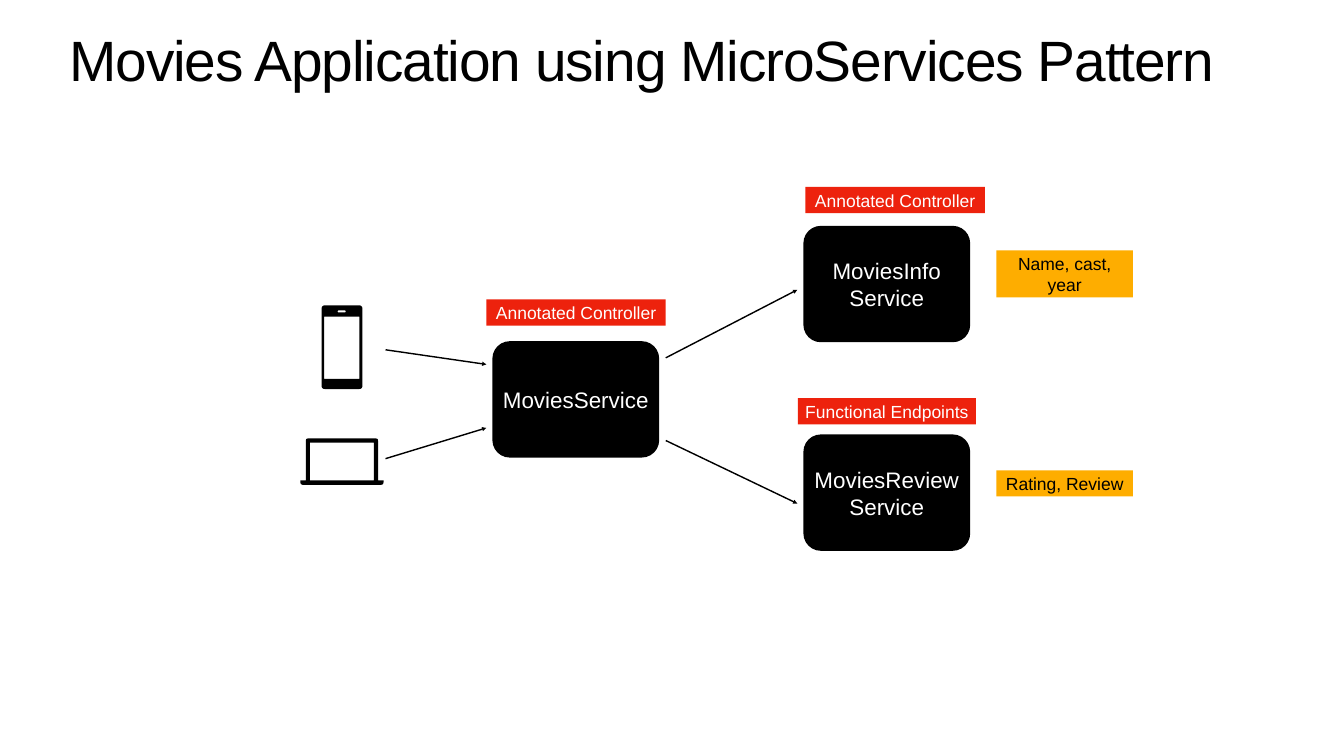
from dataclasses import dataclass

from lxml import etree
from pptx import Presentation
from pptx.dml.color import RGBColor
from pptx.enum import shapes, text
from pptx.oxml import ns
from pptx.util import Pt

BLACK, WHITE, RED, AMBER = "000000", "FFFFFF", "ED220D", "FEAD00"
INSET = 4
SERVICE_WIDTH, SERVICE_HEIGHT = 238.3, 166.3
LABEL_HEIGHT = 37.4
DATA_LEFT, DATA_WIDTH = 1423.4, 195.1
CURVE_STEPS = 6

Corner = tuple[float, float, float]  # x, y, rounding radius


@dataclass
class Block:
    left: float
    top: float
    width: float
    height: float
    paragraphs: list[str]
    fill: str
    color: str
    size: float
    preset: int = shapes.MSO_SHAPE.RECTANGLE
    wrap: bool = True
    grow: bool = True


def service(left: float, top: float, *paragraphs: str) -> Block:
    return Block(left, top, SERVICE_WIDTH, SERVICE_HEIGHT, list(paragraphs), BLACK, WHITE, 32,
                 shapes.MSO_SHAPE.ROUNDED_RECTANGLE, grow=False)


def style_label(left: float, top: float, width: float, caption: str) -> Block:
    return Block(left, top, width, LABEL_HEIGHT, [caption], RED, WHITE, 25, wrap=False)


def data_label(top: float, height: float, *paragraphs: str) -> Block:
    return Block(DATA_LEFT, top, DATA_WIDTH, height, list(paragraphs), AMBER, BLACK, 25)


SERVICES = [
    service(703.4, 487.4, "MoviesService"),
    service(1147.7, 322.6, "MoviesInfo Service"),
    service(1147.7, 620.6, "MoviesReview", "Service"),
]
LABELS = [
    style_label(1150.6, 267.1, 256.3, "Annotated Controller"),
    style_label(694.8, 427.7, 256.3, "Annotated Controller"),
    style_label(1139.8, 568.8, 254.2, "Functional Endpoints"),
    data_label(357.8, 67, "Name, cast,", "year"),
    data_label(671.8, LABEL_HEIGHT, "Rating, Review"),
]
ARROWS = [
    (951.1, 511.2, 1139, 414),
    (951.1, 629.3, 1139, 719.3),
    (550.8, 499.7, 694.8, 520.6),
    (550.8, 655.2, 694.8, 611.3),
]


def rgb(value: str) -> RGBColor:
    return RGBColor.from_string(value)


def apply(target, **values) -> None:
    for name, value in values.items():
        setattr(target, name, value)


def format_frame(frame, wrap: bool, anchor) -> None:
    margins = {f"margin_{side}": Pt(INSET) for side in ("left", "top", "right", "bottom")}
    apply(frame, word_wrap=wrap, vertical_anchor=anchor, **margins)


def write_line(paragraph, words: str, size: float, color: str):
    run = paragraph.add_run()
    run.text = words
    apply(run.font, name="Arial", size=Pt(size))
    run.font.color.rgb = rgb(color)
    return run


def paint(shape, color: str) -> None:
    shape.shadow.inherit = False
    shape.fill.solid()
    shape.fill.fore_color.rgb = rgb(color)
    shape.line.fill.background()


def add_title(slide, words: str) -> None:
    title = slide.shapes.add_textbox(Pt(95), Pt(50.4), Pt(1730), Pt(113))
    format_frame(title.text_frame, True, text.MSO_ANCHOR.TOP)
    paragraph = title.text_frame.paragraphs[0]
    paragraph.line_spacing = 0.8
    run = write_line(paragraph, words, 81.2, BLACK)
    run.font._element.set("spc", "-160")


def add_block(slide, block: Block) -> None:
    shape = slide.shapes.add_shape(block.preset, Pt(block.left), Pt(block.top),
                                   Pt(block.width), Pt(block.height))
    if block.preset == shapes.MSO_SHAPE.ROUNDED_RECTANGLE:
        shape.adjustments[0] = 0.15
    paint(shape, block.fill)
    frame = shape.text_frame
    format_frame(frame, block.wrap, text.MSO_ANCHOR.MIDDLE)
    if block.grow:
        frame.auto_size = text.MSO_AUTO_SIZE.SHAPE_TO_FIT_TEXT
    for index, words in enumerate(block.paragraphs):
        paragraph = frame.add_paragraph() if index else frame.paragraphs[0]
        paragraph.alignment = text.PP_ALIGN.CENTER
        write_line(paragraph, words, block.size, block.color)


def add_arrow(slide, *ends: float) -> None:
    arrow = slide.shapes.add_connector(shapes.MSO_CONNECTOR.STRAIGHT, *map(Pt, ends))
    arrow.line.width = Pt(2)
    arrow.line.color.rgb = rgb(BLACK)
    etree.SubElement(arrow.line._get_or_add_ln(), ns.qn("a:tailEnd"), type="triangle")
    etree.SubElement(arrow._element.spPr, ns.qn("a:effectLst"))


def box(left: float, top: float, right: float, bottom: float, radius: float = 0) -> list[Corner]:
    return [(left, top, radius), (right, top, radius),
            (right, bottom, radius), (left, bottom, radius)]


def rounded_outline(corners: list[Corner]) -> list[tuple[int, int]]:
    """Replace each rounded corner by points on a quadratic curve."""
    points = []
    for index, (x, y, radius) in enumerate(corners):
        if not radius:
            points.append((Pt(x), Pt(y)))
            continue
        edges = []
        for nx, ny, _ in (corners[index - 1], corners[(index + 1) % len(corners)]):
            share = radius / (abs(nx - x) + abs(ny - y))
            edges.append(((nx - x) * share, (ny - y) * share))
        (ax, ay), (bx, by) = edges
        for step in range(CURVE_STEPS + 1):
            t = step / CURVE_STEPS
            start, end = (1 - t) ** 2, t ** 2
            points.append((Pt(x + ax * start + bx * end), Pt(y + ay * start + by * end)))
    return points


def add_icon(slide, *contours: list[Corner]) -> None:
    """Draw the first contour with the others cut out of it."""
    outlines = [rounded_outline(contour) for contour in contours]
    builder = slide.shapes.build_freeform(*outlines[0][0])
    for index, outline in enumerate(outlines):
        if index:
            builder.move_to(*outline[0])
        builder.add_line_segments(outline[1:], close=True)
    paint(builder.convert_to_shape(), BLACK)


def add_phone(slide) -> None:
    body = box(459.4, 436.3, 517.7, 555.8, 5)
    speaker = box(482.4, 443.5, 493.9, 446.4, 1.4)
    screen = box(463, 452.2, 513.4, 541.4)
    add_icon(slide, body, speaker, screen)


def add_laptop(slide) -> None:
    body = [(437, 626.4, 3), (540, 626.4, 3), (540, 686.2, 0), (547.9, 686.2, 0),
            (547.9, 692.6, 4), (429.1, 692.6, 4), (429.1, 686.2, 0), (437, 686.2, 0)]
    screen = box(442.8, 632.2, 534.2, 686.2)
    add_icon(slide, body, screen)


def main() -> None:
    deck = Presentation()
    apply(deck, slide_width=Pt(1920), slide_height=Pt(1080))
    slide = deck.slides.add_slide(deck.slide_layouts[6])
    add_title(slide, "Movies Application using MicroServices Pattern")
    for block in SERVICES:
        add_block(slide, block)
    for ends in ARROWS:
        add_arrow(slide, *ends)
    add_phone(slide)
    add_laptop(slide)
    for block in LABELS:
        add_block(slide, block)
    deck.save("out.pptx")


if __name__ == "__main__":
    main()
